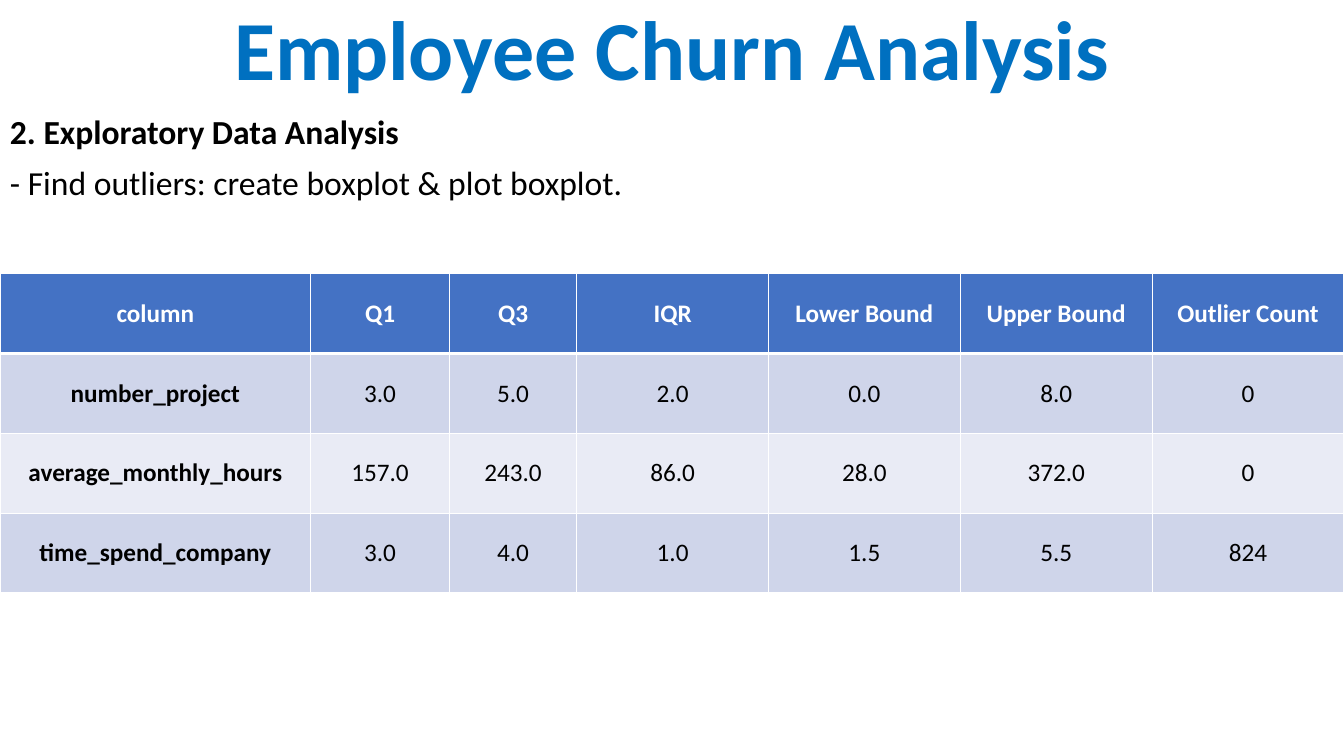
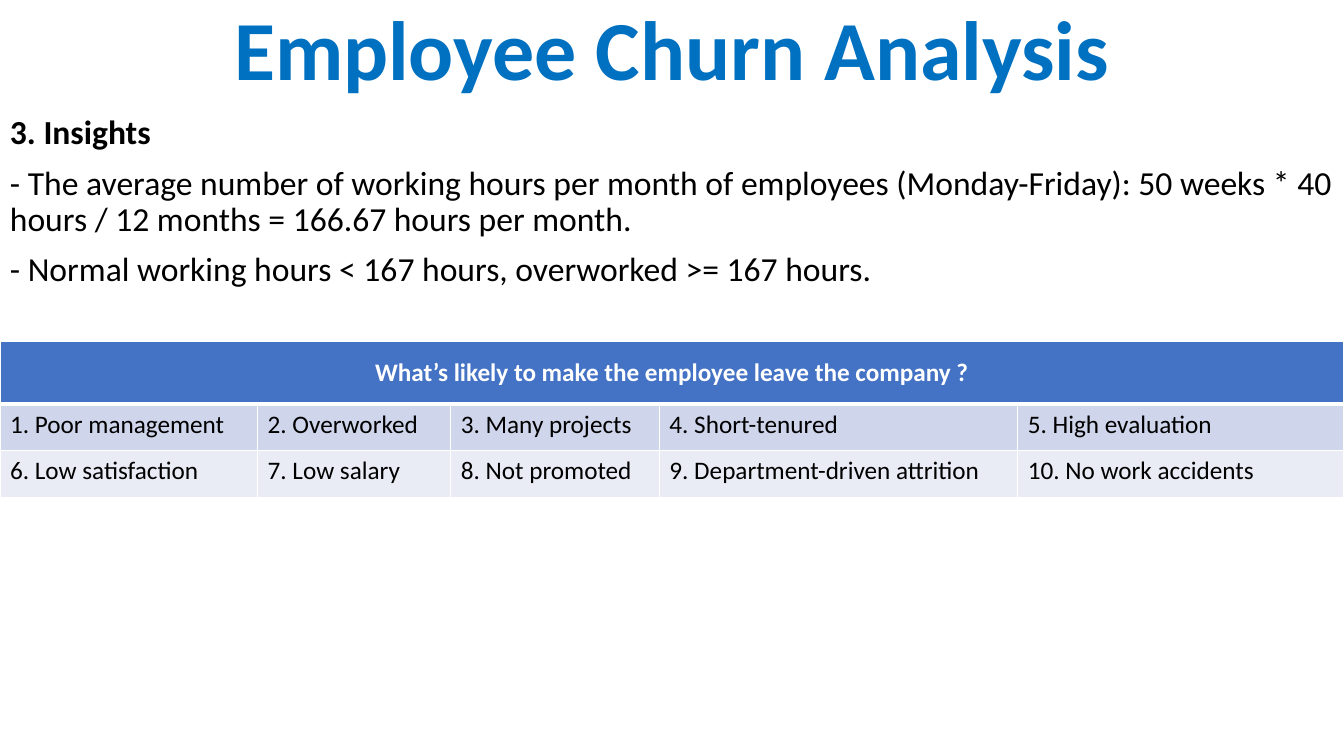
from dataclasses import dataclass

from lxml import etree
from pptx import Presentation
from pptx.dml import color
from pptx.enum import text as t
from pptx.oxml import ns
from pptx.util import Pt


@dataclass(frozen=True)
class Theme:
    font: str = "Calibri"
    title: str = "0070C0"
    ink: str = "000000"
    white: str = "FFFFFF"
    header: str = "4472C4"
    bands: tuple = ("CFD5EA", "E9EBF5")
    title_size: float = 60
    body_size: float = 24
    table_size: float = 18
    rule: float = 1
    header_rule: float = 3


THEME = Theme()
WIDTH, HEIGHT = 960, 540
TITLE_BOX = (120, 0, 720, 74.2)
BODY_BOX = (0, 79.2, WIDTH, 460.8)


def write(paragraph, words, size=THEME.body_size, ink=THEME.ink, bold=False,
          align=t.PP_ALIGN.LEFT, line=None, before=0):
    paragraph.alignment = align
    paragraph.space_before = Pt(before)
    if line:
        paragraph.line_spacing = line
    run = paragraph.add_run()
    run.text = words
    run.font.name = THEME.font
    run.font.size = Pt(size)
    run.font.bold = bold
    run.font.color.rgb = color.RGBColor.from_string(ink)


def add_frame(slide, box, anchor):
    frame = slide.shapes.add_textbox(*map(Pt, box)).text_frame
    frame.word_wrap = True
    frame.vertical_anchor = anchor
    return frame


def add_title(slide, box):
    frame = add_frame(slide, box, t.MSO_ANCHOR.BOTTOM)
    write(frame.paragraphs[0], "Employee Churn Analysis", size=THEME.title_size,
          ink=THEME.title, bold=True, align=t.PP_ALIGN.CENTER, line=0.9)


def add_body(slide, box, heading, points):
    frame = add_frame(slide, box, t.MSO_ANCHOR.TOP)
    write(frame.paragraphs[0], heading, bold=True, line=0.9)
    for point in points:
        write(frame.add_paragraph(), point, line=0.9, before=10)


def draw_borders(cell, row):
    top = THEME.header_rule if row == 1 else THEME.rule
    bottom = THEME.header_rule if row == 0 else THEME.rule
    properties = cell._tc.get_or_add_tcPr()
    for side, width in zip("LRTB", (THEME.rule, THEME.rule, top, bottom)):
        border = etree.SubElement(properties, ns.qn(f"a:ln{side}"), w=str(Pt(width)))
        fill = etree.SubElement(border, ns.qn("a:solidFill"))
        etree.SubElement(fill, ns.qn("a:srgbClr"), val=THEME.white)


def add_banded_table(slide, left, top, columns, heights, rows, centred=False):
    table = slide.shapes.add_table(len(rows), len(columns), Pt(left), Pt(top),
                                   Pt(sum(columns)), Pt(sum(heights))).table
    table.horz_banding = False
    for column, width in zip(table.columns, columns):
        column.width = Pt(width)
    for row, height in zip(table.rows, heights):
        row.height = Pt(height)
    for r, words in enumerate(rows):
        is_header = r == 0
        middle = is_header or centred
        for c in range(len(columns)):
            cell = table.cell(r, c)
            draw_borders(cell, r)
            cell.fill.solid()
            shade = THEME.header if is_header else THEME.bands[(r - 1) % 2]
            cell.fill.fore_color.rgb = color.RGBColor.from_string(shade)
            cell.vertical_anchor = t.MSO_ANCHOR.MIDDLE if middle else t.MSO_ANCHOR.TOP
            if c < len(words):
                write(cell.text_frame.paragraphs[0], words[c], size=THEME.table_size,
                      ink=THEME.white if is_header else THEME.ink,
                      bold=is_header or (centred and c == 0),
                      align=t.PP_ALIGN.CENTER if middle else t.PP_ALIGN.LEFT)
        if len(words) == 1:
            table.cell(r, 0).merge(table.cell(r, len(columns) - 1))


def add_analysis_slide(deck, heading, points):
    slide = deck.slides.add_slide(deck.slide_layouts[6])
    add_title(slide, TITLE_BOX)
    add_body(slide, BODY_BOX, heading, points)
    return slide


def main():
    deck = Presentation()
    deck.slide_width, deck.slide_height = Pt(WIDTH), Pt(HEIGHT)

    exploration = add_analysis_slide(
        deck, "2. Exploratory Data Analysis",
        ["- Find outliers: create boxplot & plot boxplot."])
    add_banded_table(
        exploration, 0, 195.6, [222, 99, 91] + [137] * 4, [57] * 4,
        [("column", "Q1", "Q3", "IQR", "Lower Bound", "Upper Bound", "Outlier Count"),
         ("number_project", "3.0", "5.0", "2.0", "0.0", "8.0", "0"),
         ("average_monthly_hours", "157.0", "243.0", "86.0", "28.0", "372.0", "0"),
         ("time_spend_company", "3.0", "4.0", "1.0", "1.5", "5.5", "824")],
        centred=True)

    insights = add_analysis_slide(
        deck, "3. Insights",
        ["- The average number of working hours per month of employees (Monday-Friday): "
         "50 weeks * 40 hours / 12 months = 166.67 hours per month.",
         "- Normal working hours < 167 hours, overworked >= 167 hours."])
    add_banded_table(
        insights, 0, 244.2, [184, 138, 149, 256, 233], [44.6, 33, 33.6],
        [("What’s likely to make the employee leave the company ?",),
         ("1. Poor management", "2. Overworked", "3. Many projects",
          "4. Short-tenured", "5. High evaluation"),
         ("6. Low satisfaction", "7. Low salary", "8. Not promoted",
          "9. Department-driven attrition", "10. No work accidents")])

    deck.save("out.pptx")


if __name__ == "__main__":
    main()
